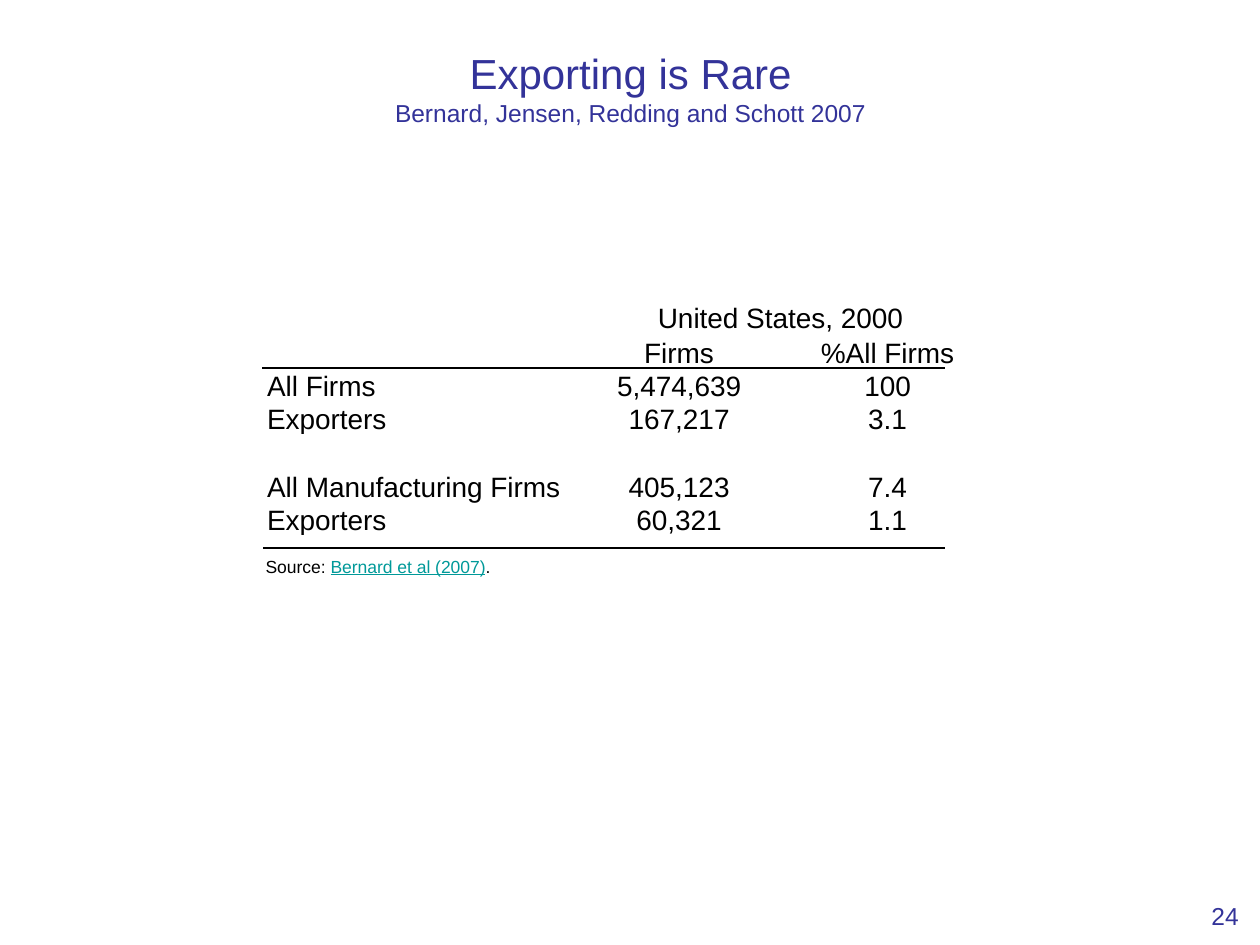
"""Build the slide showing how rare exporting is among US firms."""
from lxml.etree import SubElement
from pptx import Presentation
from pptx.dml.color import RGBColor
from pptx.enum.shapes import MSO_CONNECTOR
from pptx.enum.text import MSO_ANCHOR, MSO_AUTO_SIZE, PP_ALIGN
from pptx.oxml.ns import qn
from pptx.util import Inches, Pt


def style(run, size, color="000000"):
    run.font.name = "Arial"
    run.font.size = Pt(size)
    run.font.color.rgb = RGBColor.from_string(color)


deck = Presentation()
deck.slide_width, deck.slide_height = Inches(10), Inches(7.5)
slide = deck.slides.add_slide(deck.slide_layouts[5])

title = slide.shapes.title
title.left, title.top = Inches(0.39), Inches(0.3)
title.width, title.height = Inches(9.23), Inches(0.79)
frame = title.text_frame
frame.auto_size = MSO_AUTO_SIZE.NONE
frame.vertical_anchor = MSO_ANCHOR.MIDDLE
frame.text = "Exporting is Rare\vBernard, Jensen, Redding and Schott 2007"
head = frame.paragraphs[0]
head.alignment = PP_ALIGN.CENTER
for run, size in zip(head.runs, (24, 14)):
    style(run, size, "333399")
SubElement(head._p.find(qn("a:br")), qn("a:rPr"), sz="2400")

rows = [
    ("", "United States, 2000", ""),
    ("", "Firms", "%All Firms"),
    ("All Firms", "5,474,639", "100"),
    ("Exporters", "167,217", "3.1"),
    ("", "", ""),
    ("All Manufacturing Firms", "405,123", "7.4"),
    ("Exporters", "60,321", "1.1"),
]
widths = (2.43, 1.7, 1.61)
high = 0.26
table = slide.shapes.add_table(
    len(rows), len(widths), Inches(2.11), Inches(2.37),
    Inches(sum(widths)), Inches(high * len(rows))).table
table.first_row = table.horz_banding = False
for col, width in zip(table.columns, widths):
    col.width = Inches(width)
for r, row in enumerate(rows):
    table.rows[r].height = Inches(high)
    for c, text in enumerate(row):
        cell = table.cell(r, c)
        cell.fill.background()
        cell.vertical_anchor = MSO_ANCHOR.BOTTOM
        cell.margin_left = cell.margin_right = cell.margin_top = Inches(0.01)
        cell.margin_bottom = 0
        para = cell.text_frame.paragraphs[0]
        para.text = text
        para.alignment = PP_ALIGN.CENTER if c else PP_ALIGN.LEFT
        for run in para.runs:
            style(run, 16)
        SubElement(para._p, qn("a:endParaRPr"), sz="1600")
table.cell(0, 1).merge(table.cell(0, 2))

for left, y in ((2.08, 2.92), (2.09, 4.35)):
    rule = slide.shapes.add_connector(
        MSO_CONNECTOR.STRAIGHT, Inches(left), Inches(y), Inches(7.5), Inches(y))
    rule.line.color.rgb = RGBColor.from_string("000000")
    rule.line.width = Pt(1)
    SubElement(rule._element.spPr, qn("a:effectLst"))

source = slide.shapes.add_textbox(Inches(2.01), Inches(4.36), Inches(2), Inches(0.27))
source.text_frame.word_wrap = False
para = source.text_frame.paragraphs[0]
for text, color in (("Source: ", "000000"), ("Bernard et al (2007)", "009999"), (".", "000000")):
    run = para.add_run()
    run.text = text
    style(run, 10, color)
para.runs[1].font.underline = True

number = slide.shapes.add_textbox(Inches(9.39), Inches(7.1), Inches(0.54), Inches(0.32))
number.text_frame.word_wrap = True
number.text_frame.text = "24"
para = number.text_frame.paragraphs[0]
para.alignment = PP_ALIGN.RIGHT
style(para.runs[0], 14, "333399")

deck.save("out.pptx")
